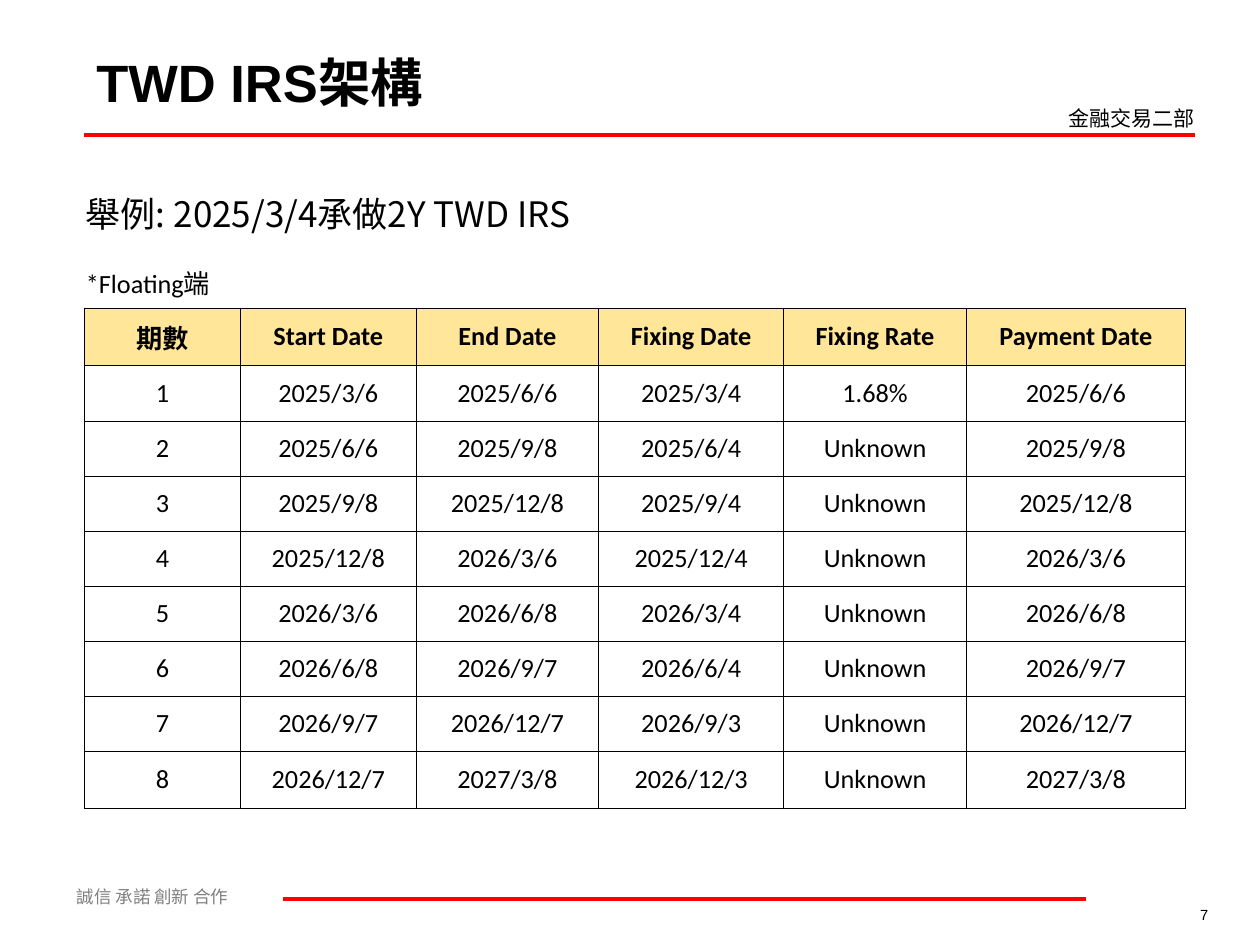
from lxml.etree import SubElement
from pptx import Presentation
from pptx.dml.color import RGBColor
from pptx.enum.shapes import MSO_CONNECTOR
from pptx.enum.text import MSO_ANCHOR, PP_ALIGN
from pptx.oxml.ns import qn
from pptx.util import Cm, Pt

BLACK = RGBColor(0x00, 0x00, 0x00)
GRAY = RGBColor(0x80, 0x80, 0x80)
RED = RGBColor(0xFF, 0x00, 0x00)
CREAM = RGBColor(0xFF, 0xE6, 0x99)
CJK = "Noto Sans CJK SC"
NO_STYLE_NO_GRID = "{2D5ABB26-0587-4C30-8999-92F81FD0307C}"


def format_text(text_frame, size, latin, east_asian=CJK, color=BLACK,
                bold=False, align=PP_ALIGN.LEFT):
    paragraph = text_frame.paragraphs[0]
    paragraph.alignment = align
    for run in paragraph.runs:
        run.font.size = Pt(size)
        run.font.bold = bold
        run.font.color.rgb = color
        run.font.name = latin
        SubElement(run.font._element, qn("a:ea"), typeface=east_asian)


def add_borders(cell, sides):
    """Draw thin black borders on the given sides, in the order L, R, T, B."""
    properties = cell._tc.get_or_add_tcPr()
    for side in sides:
        line = SubElement(properties, qn(f"a:ln{side}"), w=str(Pt(0.45)))
        fill = SubElement(line, qn("a:solidFill"))
        SubElement(fill, qn("a:srgbClr"), val=str(BLACK))


prs = Presentation()
prs.slide_width = Cm(25.4)
prs.slide_height = Cm(19.05)
slide = prs.slides.add_slide(prs.slide_layouts[5])

# Title
title = slide.shapes.title
title.left, title.top, title.width, title.height = Cm(1.69), Cm(0.76), Cm(18.59), Cm(1.75)
title.text_frame.text = "TWD IRS架構"
title.text_frame.vertical_anchor = MSO_ANCHOR.MIDDLE
format_text(title.text_frame, 30, "Arial", bold=True)

# Rules under the title and beside the motto
for start, end, y in [(1.7, 24.09, 2.72), (5.7, 21.9, 18.12)]:
    rule = slide.shapes.add_connector(MSO_CONNECTOR.STRAIGHT, Cm(start), Cm(y), Cm(end), Cm(y))
    rule.line.color.rgb = RED
    rule.line.width = Pt(2.25)
    SubElement(rule._element.spPr, qn("a:effectLst"))

# Department, motto and page number
labels = [
    ("金融交易二部", 21.3, 2.01, 3.2, 0.76, 12, CJK, BLACK, PP_ALIGN.LEFT),
    ("誠信 承諾 創新 合作", 1.3, 17.73, 6.4, 0.69, 10, CJK, GRAY, PP_ALIGN.LEFT),
    ("7", 21.11, 18.14, 3.5, 0.61, 8.4, "Arial", BLACK, PP_ALIGN.RIGHT),
]
for text, left, top, width, height, size, font, color, align in labels:
    label = slide.shapes.add_textbox(Cm(left), Cm(top), Cm(width), Cm(height))
    label.text_frame.word_wrap = True
    label.text_frame.text = text
    format_text(label.text_frame, size, font, color=color, align=align)

# Floating-leg schedule: each period starts where the last one ended
headers = ["期數", "Start Date", "End Date", "Fixing Date", "Fixing Rate", "Payment Date"]
period_dates = ["2025/3/6", "2025/6/6", "2025/9/8", "2025/12/8", "2026/3/6",
                "2026/6/8", "2026/9/7", "2026/12/7", "2027/3/8"]
fixing_dates = ["2025/3/4", "2025/6/4", "2025/9/4", "2025/12/4",
                "2026/3/4", "2026/6/4", "2026/9/3", "2026/12/3"]
fixing_rates = ["1.68%"] + ["Unknown"] * 7
schedule = [headers]
for number, (start, end, fixing, rate) in enumerate(
        zip(period_dates, period_dates[1:], fixing_dates, fixing_rates), 1):
    schedule.append([str(number), start, end, fixing, rate, end])

column_widths = [3.15, 3.54, 3.68, 3.73, 3.68, 4.42]
row_heights = [1.82, 1.06, 1.15, 1.13] + [1.11] * 6 + [1.15]
table = slide.shapes.add_table(len(row_heights), len(column_widths), Cm(1.7), Cm(3.33),
                               Cm(sum(column_widths)), Cm(sum(row_heights))).table
table.first_row = False
table.horz_banding = False
table._tbl.tblPr.find(qn("a:tableStyleId")).text = NO_STYLE_NO_GRID
for column, width in zip(table.columns, column_widths):
    column.width = Cm(width)
for row, height in zip(table.rows, row_heights):
    row.height = Cm(height)

example, leg = table.cell(0, 0), table.cell(1, 0)
example.merge(table.cell(0, 2))
example.text_frame.text = "舉例: 2025/3/4承做2Y TWD IRS"
format_text(example.text_frame, 20, "Noto Sans CJK TC", "Noto Sans CJK TC")
leg.text_frame.text = "*Floating端"
format_text(leg.text_frame, 15, "Calibri")
for cell in (example, leg):
    cell.vertical_anchor = MSO_ANCHOR.MIDDLE
    cell.margin_left = Cm(0.03)
example.margin_right = Cm(0.25)
example.margin_top = Cm(0.09)
example.margin_bottom = 0

for column in range(len(headers)):
    add_borders(table.cell(1, column), "B")
for row, values in enumerate(schedule, 2):
    is_header = values is headers
    for column, value in enumerate(values):
        cell = table.cell(row, column)
        cell.text_frame.text = value
        format_text(cell.text_frame, 15, "Calibri", bold=is_header, align=PP_ALIGN.CENTER)
        cell.vertical_anchor = MSO_ANCHOR.MIDDLE
        cell.margin_left = cell.margin_right = Cm(0.03)
        add_borders(cell, "LRTB")
        if is_header:
            cell.fill.solid()
            cell.fill.fore_color.rgb = CREAM
        else:
            cell.fill.background()

prs.save("out.pptx")
